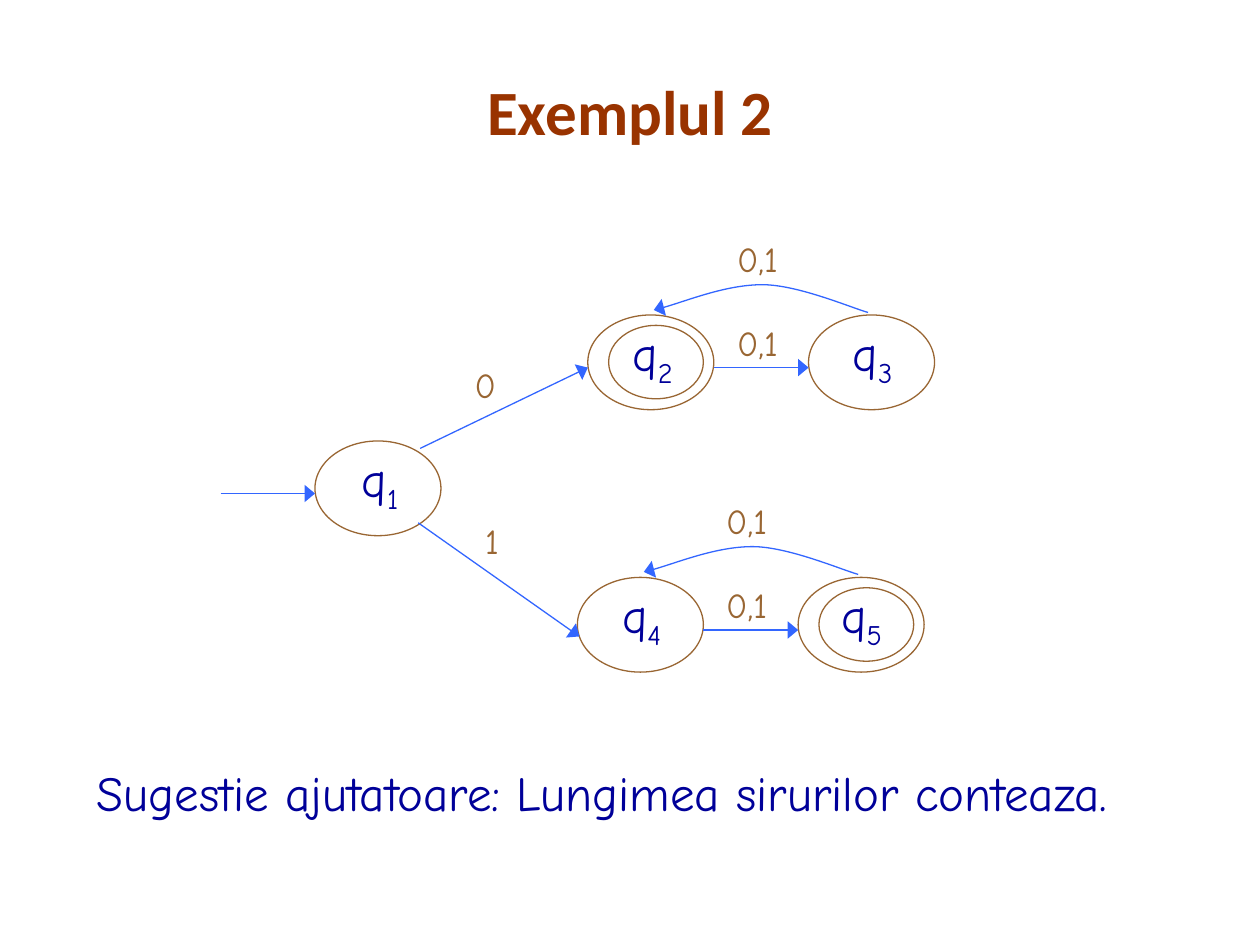
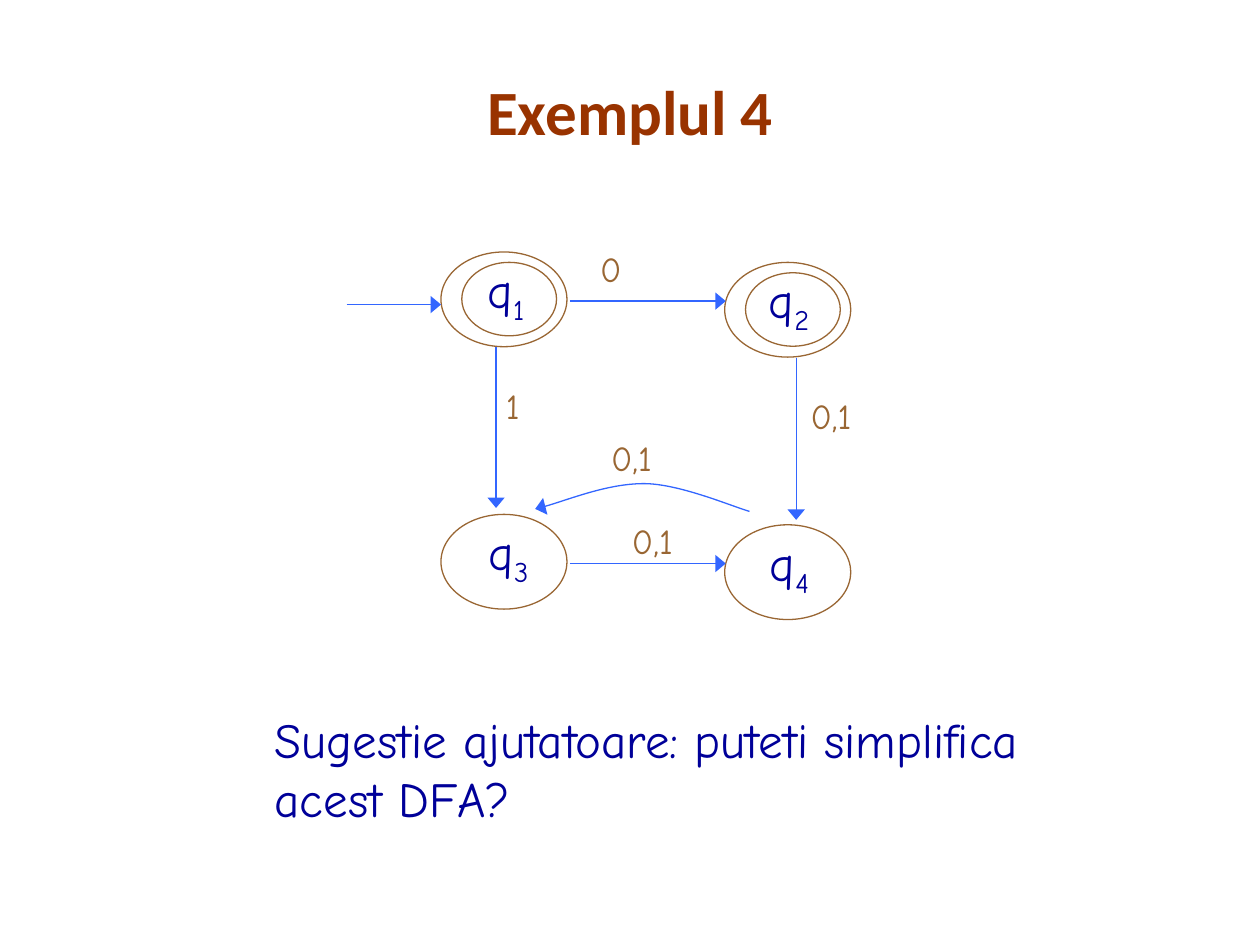
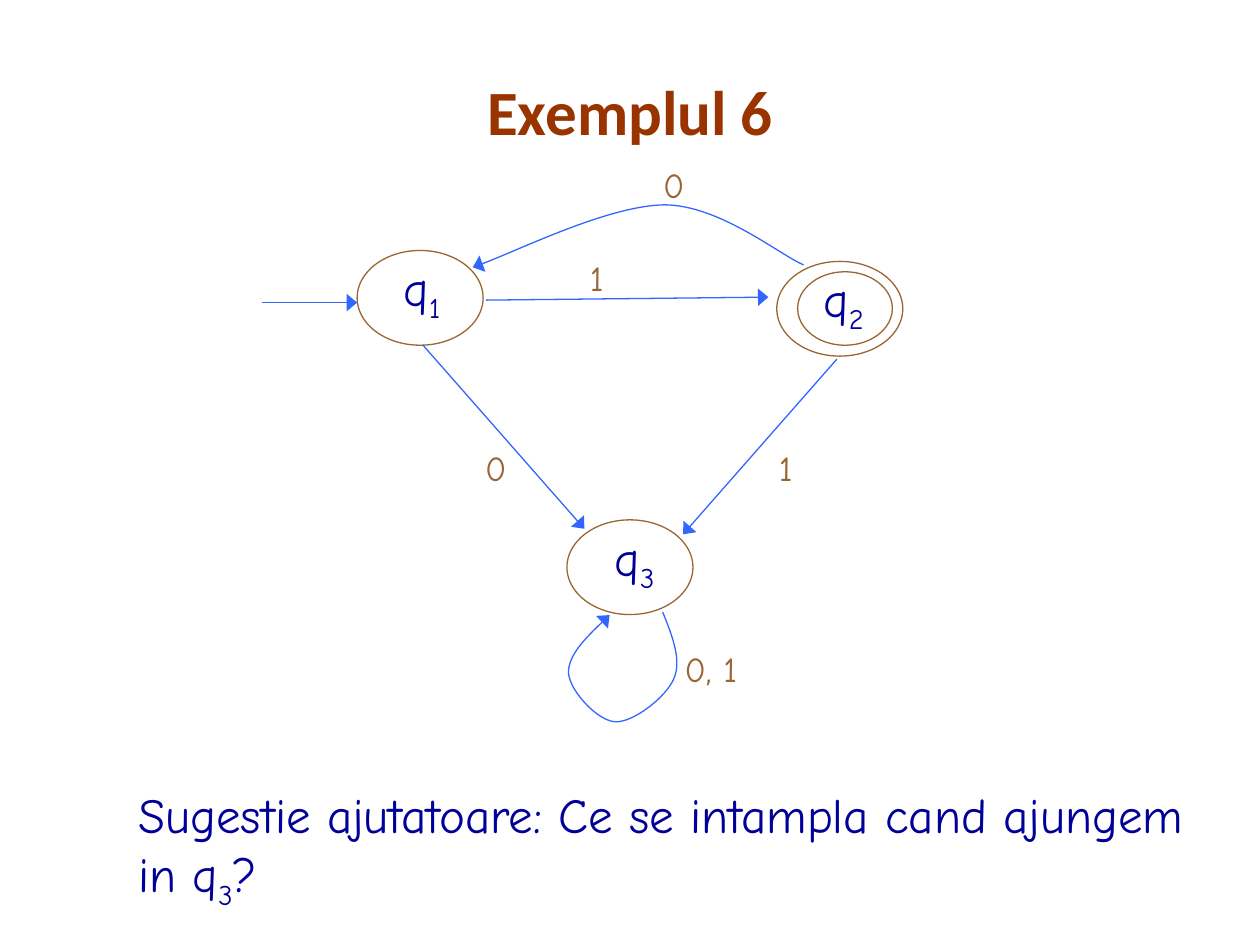
from lxml.etree import SubElement
from pptx import Presentation
from pptx.dml.color import RGBColor
from pptx.enum.shapes import MSO_CONNECTOR, MSO_SHAPE
from pptx.enum.text import MSO_ANCHOR, MSO_AUTO_SIZE, PP_ALIGN
from pptx.oxml.ns import qn
from pptx.util import Cm, Pt

COLOURS = {"title": "993300", "text": "000099", "state": "996633",
           "arrow": "3366FF", "background": "FFFFFF"}
COLOURS = {name: RGBColor.from_string(value) for name, value in COLOURS.items()}
TITLE_FONT, BODY_FONT = "Calibri", "Comic Neue"
STATE_WIDTH, STATE_HEIGHT = 2.54, 1.91

# Curves: Bézier points measured from the start of the arrow
RETURN_ARC = [(-0.35, -0.1), (-1.42, -0.56), (-2.13, -0.56),
              (-2.87, -0.56), (-3.86, -0.15), (-4.32, -0.05)]
WIDE_ARC = [(-0.48, -0.2), (-1.7, -1.21), (-2.81, -1.21),
            (-3.93, -1.19), (-5.89, -0.22), (-6.67, 0.05)]
SELF_LOOP = [(0.2, 0.49), (0.38, 0.97), (0.23, 1.33),
             (0.08, 1.71), (-0.61, 2.24), (-0.96, 2.21),
             (-1.32, 2.19), (-1.88, 1.58), (-1.9, 1.22),
             (-1.9, 0.87), (-1.5, 0.46), (-1.07, 0.06)]

# states: name, left, top, accepting, indent of the name
# arrows: start x, start y, end x, end y
# curves: start x, start y, points
# labels: text, left, top
# hint: text, left, top, width, height
AUTOMATA = [
    {"title": "Exemplul 2",
     "states": [("q_1", 6.35, 8.89, False, 0.69), ("q_2", 11.85, 6.35, True, 0.65),
                ("q_3", 16.3, 6.35, False, 0.64), ("q_4", 11.64, 11.64, False, 0.65),
                ("q_5", 16.09, 11.64, True, 0.62)],
     "arrows": [(4.45, 9.95, 6.35, 9.95), (8.47, 9.04, 11.85, 7.41),
                (14.39, 7.41, 16.3, 7.41), (14.18, 12.7, 16.09, 12.7),
                (8.43, 10.54, 11.68, 12.83)],
     "curves": [(17.5, 6.3, RETURN_ARC), (17.3, 11.58, RETURN_ARC)],
     "labels": [("0,1", 14.61, 6.35), ("0", 9.32, 7.2), ("0,1", 14.61, 4.66),
                ("0,1", 14.39, 11.64), ("0,1", 14.39, 9.95), ("1", 9.53, 10.34)],
     "hint": ("Sugestie ajutatoare: Lungimea sirurilor conteaza.",
              1.7, 15.24, 21.17, 1.45)},
    {"title": "Exemplul 4",
     "states": [("q_1", 8.89, 5.08, True, 0.69), ("q_2", 14.61, 5.29, True, 0.64),
                ("q_3", 8.89, 10.37, False, 0.71), ("q_4", 14.61, 10.58, False, 0.66)],
     "arrows": [(6.99, 6.14, 8.89, 6.14), (11.49, 6.07, 14.63, 6.07),
                (11.49, 11.36, 14.63, 11.36), (10, 6.99, 10, 10.24),
                (16.05, 7.22, 16.05, 10.48)],
     "curves": [(15.11, 10.31, RETURN_ARC)],
     "labels": [("0", 11.85, 4.87), ("0,1", 12.07, 8.68), ("0,1", 12.49, 10.34),
                ("0,1", 16.09, 7.83), ("1", 9.95, 7.62)],
     "hint": ("Sugestie ajutatoare: puteti simplifica acest DFA?",
              5.29, 14.18, 17.57, 2.64)},
    {"title": "Exemplul 6",
     "states": [("q_1", 7.2, 5.05, False, 0.69), ("q_2", 15.66, 5.27, True, 0.69),
                ("q_3", 11.43, 10.48, False, 0.71)],
     "arrows": [(5.29, 6.1, 7.2, 6.1), (9.8, 6.05, 15.49, 5.99),
                (16.87, 7.24, 13.77, 10.77), (8.52, 6.95, 11.78, 10.66)],
     "curves": [(16.2, 5.34, WIDE_ARC), (13.36, 12.34, SELF_LOOP)],
     "labels": [("0, 1", 13.55, 12.92), ("0", 13.12, 3.18), ("1", 11.64, 5.05),
                ("0", 9.53, 8.87), ("1", 15.45, 8.87)],
     "hint": ("Sugestie ajutatoare: Ce se intampla cand ajungem in q_3?",
              2.54, 15.7, 22.43, 2.79)},
]


def add_text(page, text, left, top, width, height, size=28, colour="text"):
    """Add a text box; the character after an underscore is a subscript."""
    box = page.shapes.add_textbox(Cm(left), Cm(top), Cm(width), Cm(height))
    box.text_frame.word_wrap = True
    box.text_frame.auto_size = MSO_AUTO_SIZE.SHAPE_TO_FIT_TEXT
    para = box.text_frame.paragraphs[0]
    para.font.name = BODY_FONT
    para.font.size = Pt(size)
    para.font.color.rgb = COLOURS[colour]
    before, _, after = text.partition("_")
    for part, baseline in ((before, None), (after[:1], "-25000"), (after[1:], None)):
        if part:
            span = para.add_run()
            span.text = part
            if baseline:
                span.font._element.set("baseline", baseline)


def style_arrow(arrow):
    arrow.line.color.rgb = COLOURS["arrow"]
    arrow.line.width = Pt(0.75)
    SubElement(arrow.line._get_or_add_ln(), qn("a:tailEnd"), type="triangle", w="lg", len="med")
    SubElement(arrow._element.spPr, qn("a:effectLst"))


deck = Presentation()
deck.slide_width, deck.slide_height = Cm(25.4), Cm(19.05)

for automaton in AUTOMATA:
    page = deck.slides.add_slide(deck.slide_layouts[5])
    page.background.fill.solid()
    page.background.fill.fore_color.rgb = COLOURS["background"]

    # Title
    title = page.shapes.title
    title.left, title.top, title.width, title.height = Cm(1.91), Cm(1.27), Cm(21.59), Cm(1.91)
    title.text_frame.text = automaton["title"]
    title.text_frame.vertical_anchor = MSO_ANCHOR.MIDDLE
    para = title.text_frame.paragraphs[0]
    para.alignment = PP_ALIGN.CENTER
    para.font.name = TITLE_FONT
    para.font.size = Pt(36)
    para.font.bold = True
    para.font.color.rgb = COLOURS["title"]

    # States, with an inner ring where accepting
    for name, left, top, accepting, indent in automaton["states"]:
        add_text(page, name, left + indent, top + 0.02, 1.45, 1.6)
        rings = [(left, top, STATE_WIDTH, STATE_HEIGHT)]
        if accepting:
            rings.append((left + 0.42, top + 0.21, 1.91, 1.48))
        for ring in rings:
            ellipse = page.shapes.add_shape(MSO_SHAPE.OVAL, *map(Cm, ring))
            ellipse.shadow.inherit = False
            ellipse.fill.background()
            ellipse.line.color.rgb = COLOURS["state"]
            ellipse.line.width = Pt(0.75)

    # Straight transitions
    for ends in automaton["arrows"]:
        style_arrow(page.shapes.add_connector(MSO_CONNECTOR.STRAIGHT, *map(Cm, ends)))

    # Curved transitions: every three line segments become one Bézier segment
    for x, y, points in automaton["curves"]:
        builder = page.shapes.build_freeform(Cm(x), Cm(y))
        builder.add_line_segments([(Cm(x + dx), Cm(y + dy)) for dx, dy in points], close=False)
        curve = builder.convert_to_shape()
        curve.fill.background()
        style_arrow(curve)
        outline = next(curve._element.iter(qn("a:path")))
        segments = outline.findall(qn("a:lnTo"))
        for first in range(0, len(segments), 3):
            bezier = SubElement(outline, qn("a:cubicBezTo"))
            for segment in segments[first:first + 3]:
                bezier.append(segment[0])
                outline.remove(segment)

    # Transition labels and hint
    for text, left, top in automaton["labels"]:
        add_text(page, text, left, top, 2.12, 1.12, size=20, colour="state")
    add_text(page, *automaton["hint"])

deck.save("out.pptx")
